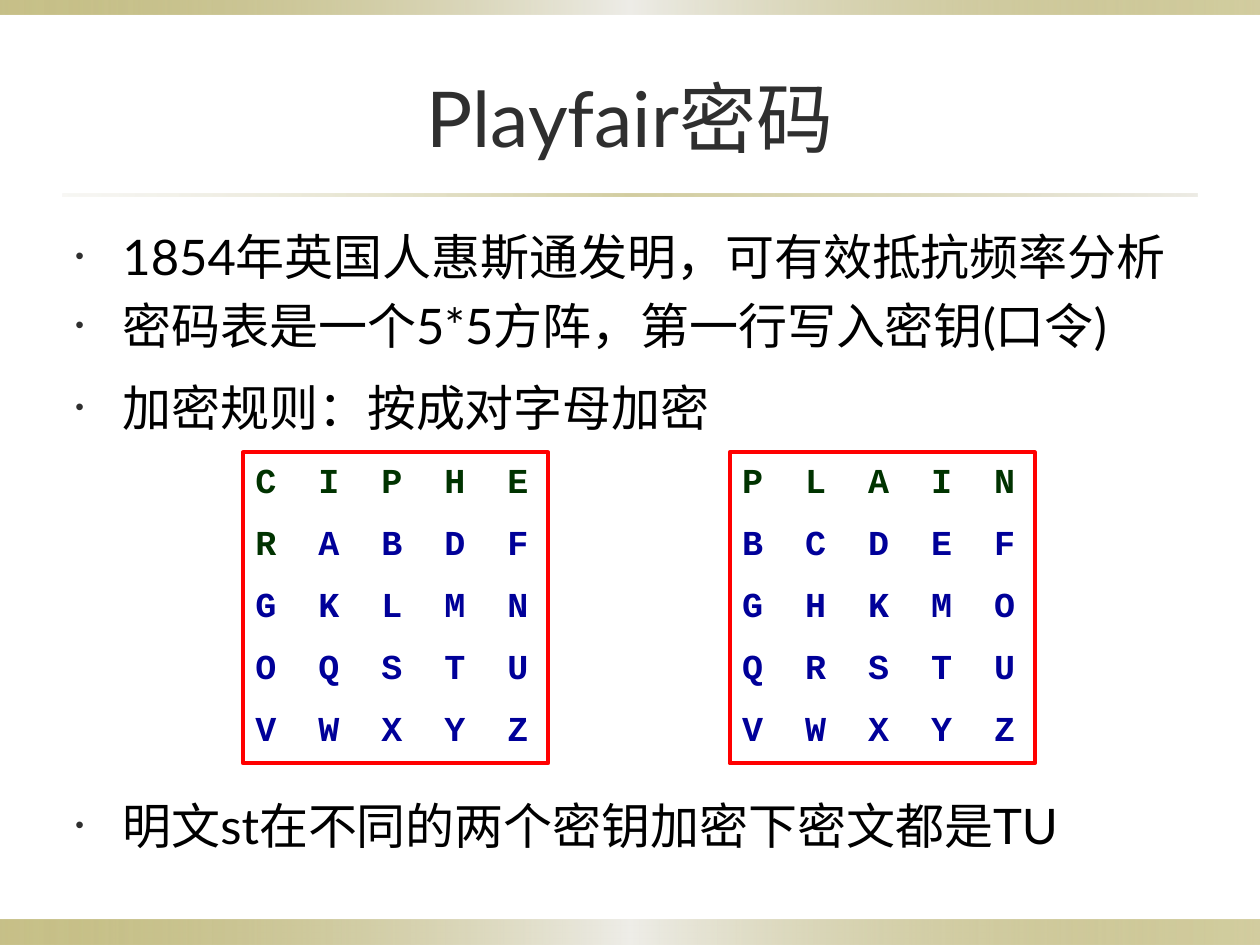
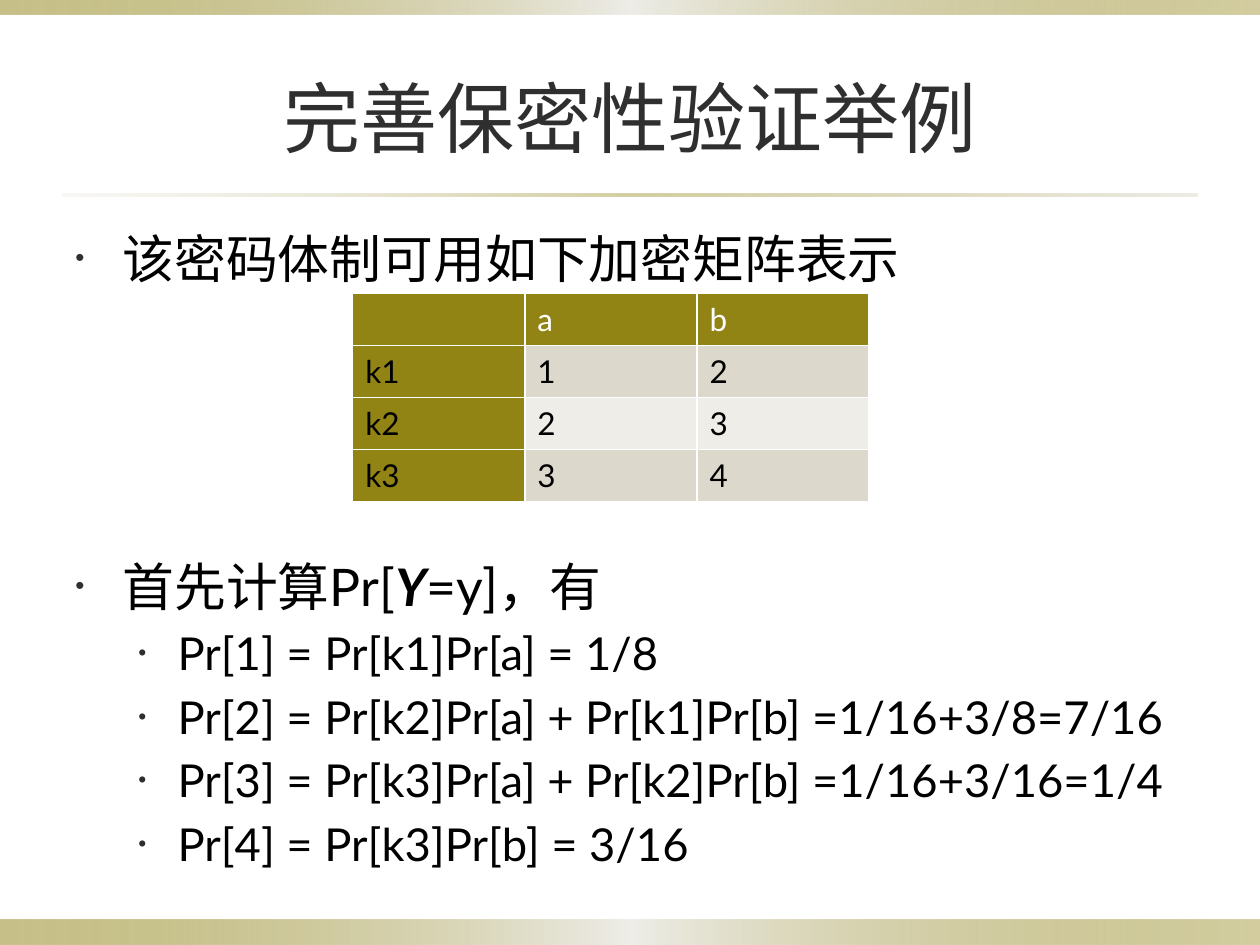
"""Build two cryptography slides: the Playfair cipher and a perfect secrecy example."""
from lxml import etree
from pptx import Presentation
from pptx import util as u
from pptx.dml.color import RGBColor
from pptx.enum import shapes, text
from pptx.oxml import ns

COLORS = {"olive": "918415", "pale": "EEEDE8", "sand": "DCD9CC", "title": "2F2F2F",
          "black": "000000", "white": "FFFFFF", "frame": "FF0000",
          "key": "003300", "letter": "000099"}
FONT, GRID_FONT = "Lato", "Courier New"
SLIDE_W, SLIDE_H = 25.4, 19.05
MARGIN, CONTENT_W = 1.27, 22.86

BAND = [(0, "olive", 50), (50, "pale", 100), (100, "olive", 40)]
RULE = [(0, "sand", 20), (50, "olive", 40), (100, "sand", 50)]
DECOR = [(0, 18.54, SLIDE_W, 0.51, BAND),
         (0, 0, SLIDE_W, 0.3, BAND),
         (MARGIN, 3.91, CONTENT_W, 0.05, RULE)]

INDENTS = [(0.95, 0.95), (2.06, 0.79)]

PLAYFAIR = {
    "title": "Playfair密码",
    "blocks": [
        (4.45, 4.2, [("1854年英国人惠斯通发明，可有效抵抗频率分析", 0, 28, 0),
                     ("密码表是一个5*5方阵，第一行写入密钥(口令)", 0, 28, 5.5),
                     ("加密规则：按成对字母加密", 0, 28, 13.5)]),
        (15.92, 1.6, [("明文st在不同的两个密钥加密下密文都是TU", 0, 28, 0)]),
    ],
}
SQUARES = [("CIPHER", 4.9, ["CIPHE", "RABDF", "GKLMN", "OQSTU", "VWXYZ"]),
           ("PLAIN", 14.71, ["PLAIN", "BCDEF", "GHKMO", "QRSTU", "VWXYZ"])]

SECRECY = {
    "title": "完善保密性验证举例",
    "blocks": [
        (4.45, 1.5, [("该密码体制可用如下加密矩阵表示", 0, 29.6, 0)]),
        (11.05, 6.5, [(["首先计算Pr[", "*Y", "=y]，有"], 0, 29.6, 0),
                      ("Pr[1] = Pr[k1]Pr[a] = 1/8", 1, 25.9, 5.2),
                      ("Pr[2] = Pr[k2]Pr[a] + Pr[k1]Pr[b] =1/16+3/8=7/16", 1, 25.9, 5.2),
                      ("Pr[3] = Pr[k3]Pr[a] + Pr[k2]Pr[b] =1/16+3/16=1/4", 1, 25.9, 5.2),
                      ("Pr[4] = Pr[k3]Pr[b] = 3/16", 1, 25.9, 5.2)]),
    ],
}
MATRIX = [["", "a", "b"], ["k1", "1", "2"], ["k2", "2", "3"], ["k3", "3", "4"]]


def rgb(name):
    return RGBColor.from_string(COLORS[name])


def box(left, top, width, height):
    return [u.Cm(v) for v in (left, top, width, height)]


def add_xml(parent, tag, **attributes):
    return etree.SubElement(parent, ns.qn(tag), {k: str(v) for k, v in attributes.items()})


def set_font(font, size, color, name=FONT, bold=False):
    font.size, font.name, font.bold = u.Pt(size), name, bold
    font.color.rgb = rgb(color)


def nth_paragraph(frame, index):
    return frame.add_paragraph() if index else frame.paragraphs[0]


def add_rect(slide, *place):
    rect = slide.shapes.add_shape(shapes.MSO_SHAPE.RECTANGLE, *box(*place))
    rect.shadow.inherit = False
    return rect


def add_gradient(slide, left, top, width, height, stops):
    strip = add_rect(slide, left, top, width, height)
    strip.line.fill.background()
    strip.fill.gradient()
    strip.fill.gradient_angle = 0
    stop_list = strip._element.spPr.find(ns.qn("a:gradFill")).find(ns.qn("a:gsLst"))
    for old in list(stop_list):
        stop_list.remove(old)
    for position, color, opacity in stops:
        stop = add_xml(stop_list, "a:gs", pos=position * 1000)
        shade = add_xml(stop, "a:srgbClr", val=COLORS[color])
        add_xml(shade, "a:alpha", val=opacity * 1000)


def add_bullet(paragraph, level):
    left, hanging = INDENTS[level]
    props = paragraph._p.get_or_add_pPr()
    props.set("marL", str(u.Cm(left)))
    props.set("indent", str(-u.Cm(hanging)))
    add_xml(add_xml(props, "a:buClr"), "a:srgbClr", val=COLORS["title"])
    add_xml(props, "a:buSzPct", val=50000)
    add_xml(props, "a:buFont", typeface="Arial")
    add_xml(props, "a:buChar", char="•")


def add_block(slide, top, height, items):
    frame = slide.shapes.add_textbox(*box(MARGIN, top, CONTENT_W, height)).text_frame
    frame.word_wrap = True
    for i, (content, level, size, before) in enumerate(items):
        paragraph = nth_paragraph(frame, i)
        paragraph.level = level
        add_bullet(paragraph, level)
        paragraph.space_before = u.Pt(before)
        set_font(paragraph.font, size, "black")
        for part in [content] if isinstance(content, str) else content:
            run = paragraph.add_run()
            run.text = part.lstrip("*")
            if part.startswith("*"):
                run.font.bold = run.font.italic = True


def add_slide(deck, content):
    slide = deck.slides.add_slide(deck.slide_layouts[6])
    for strip in DECOR:
        add_gradient(slide, *strip)
    frame = slide.shapes.add_textbox(*box(MARGIN, 0.76, CONTENT_W, 3.18)).text_frame
    frame.word_wrap = True
    frame.vertical_anchor = text.MSO_ANCHOR.MIDDLE
    heading = frame.paragraphs[0]
    heading.text = content["title"]
    heading.alignment = text.PP_ALIGN.CENTER
    set_font(heading.font, 44, "title")
    for block in content["blocks"]:
        add_block(slide, *block)
    return slide


def add_square(slide, key, left, rows):
    square = add_rect(slide, left, 9.12, 6.15, 6.27)
    square.fill.solid()
    square.fill.fore_color.rgb = rgb("white")
    square.line.color.rgb = rgb("frame")
    square.line.width = u.Pt(2.25)
    frame = square.text_frame
    frame.vertical_anchor = text.MSO_ANCHOR.TOP
    for i, row in enumerate(rows):
        paragraph = nth_paragraph(frame, i)
        paragraph.alignment = text.PP_ALIGN.LEFT
        paragraph.space_before = u.Pt(11.4 if i else 0)
        tabs = add_xml(paragraph._p.get_or_add_pPr(), "a:tabLst")
        for column in range(1, len(row)):
            add_xml(tabs, "a:tab", pos=u.Cm(1.27 * column), algn="l")
        set_font(paragraph.font, 20, "letter", GRID_FONT, True)
        line = "\t".join(row)
        split = 2 * max(0, len(key) - i * len(row))
        for part, color in ((line[:split], "key"), (line[split:], "letter")):
            if part:
                run = paragraph.add_run()
                run.text = part
                run.font.color.rgb = rgb(color)


def add_borders(cell):
    props = cell._tc.get_or_add_tcPr()
    for side in "LRTB":
        edge = add_xml(props, f"a:ln{side}", w=u.Pt(1))
        add_xml(add_xml(edge, "a:solidFill"), "a:srgbClr", val=COLORS["white"])


def add_matrix(slide):
    table = slide.shapes.add_table(len(MATRIX), len(MATRIX[0]),
                                   *box(7.11, 5.92, 10.41, 4.19)).table
    for r, row in enumerate(MATRIX):
        for c, value in enumerate(row):
            cell = table.cell(r, c)
            add_borders(cell)
            cell.fill.solid()
            band = "sand" if r % 2 else "pale"
            cell.fill.fore_color.rgb = rgb("olive" if r == 0 or c == 0 else band)
            cell.vertical_anchor = text.MSO_ANCHOR.MIDDLE
            cell.text = value
            set_font(cell.text_frame.paragraphs[0].font, 18, "black" if r else "white")


def main():
    deck = Presentation()
    deck.slide_width, deck.slide_height = u.Cm(SLIDE_W), u.Cm(SLIDE_H)
    playfair = add_slide(deck, PLAYFAIR)
    for square in SQUARES:
        add_square(playfair, *square)
    add_matrix(add_slide(deck, SECRECY))
    deck.save("out.pptx")


if __name__ == "__main__":
    main()
